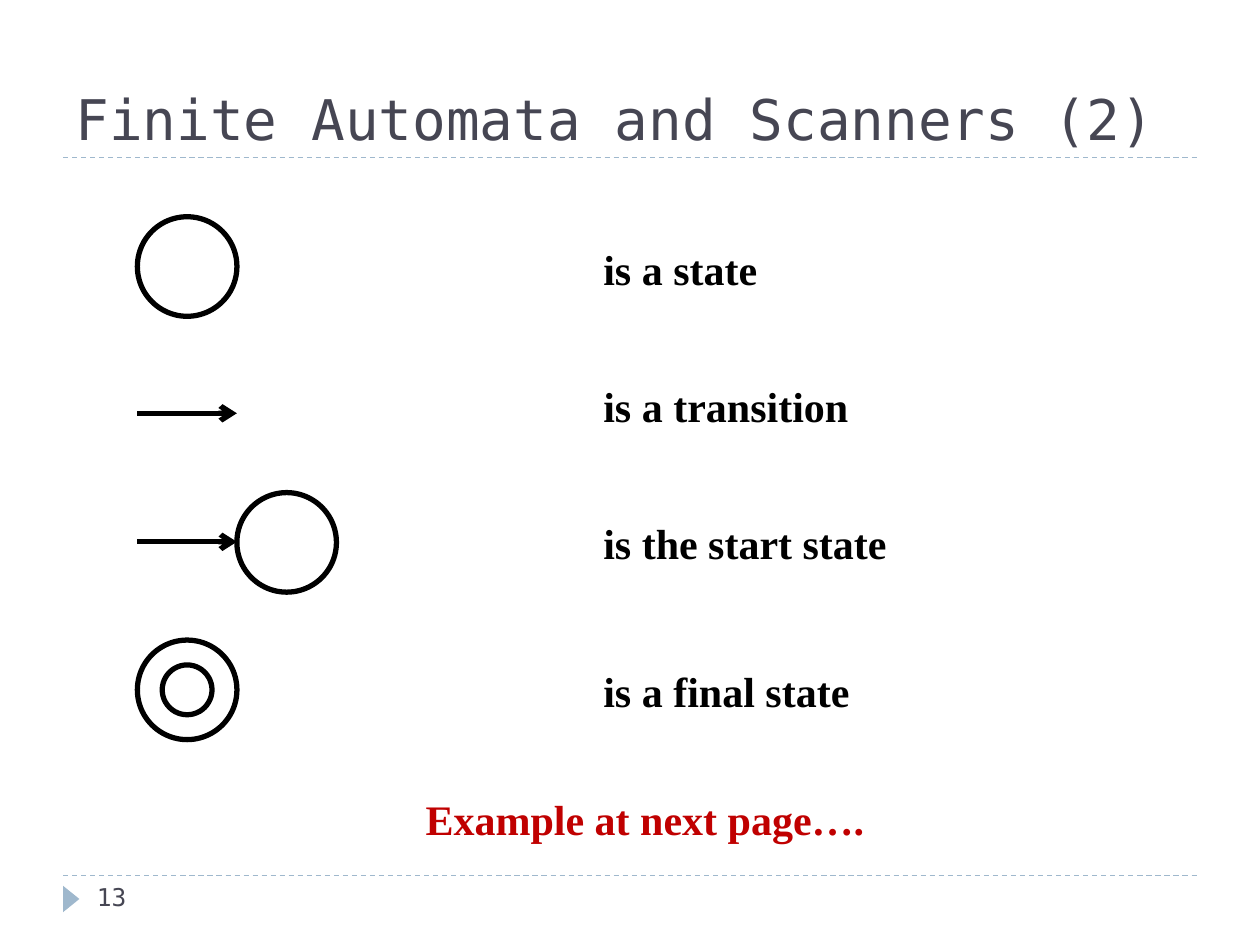
from dataclasses import dataclass

import pptx
import pptx.dml.color
import pptx.enum.dml
import pptx.enum.shapes
import pptx.enum.text
import pptx.oxml.ns
import pptx.oxml.xmlchemy
import pptx.shapes.connector
import pptx.slide
import pptx.util

COLOURS = {
    "ink": "000000",
    "paper": "FFFFFF",
    "heading": "464653",
    "accent": "9FB8CD",
    "notice": "C00000",
}
MONO = "DejaVu Sans Mono"
SERIF = "Times New Roman"
SHAPES = pptx.enum.shapes.MSO_SHAPE
ANCHORS = pptx.enum.text.MSO_ANCHOR
SYMBOL_LEFT = 1.09
SYMBOL_SIZE = 0.79


@dataclass(frozen=True)
class Label:
    text: str
    left: float
    top: float
    width: float = 5
    height: float = 0.5
    size: float = 24
    font: str = SERIF
    colour: str = "ink"
    bold: bool = True
    anchor: ANCHORS = ANCHORS.TOP


@dataclass(frozen=True)
class State:
    left: float
    top: float
    outline: SHAPES = SHAPES.OVAL


def rgb(colour: str) -> pptx.dml.color.RGBColor:
    return pptx.dml.color.RGBColor.from_string(COLOURS[colour])


def inches(*lengths: float) -> list[pptx.util.Length]:
    return [pptx.util.Inches(length) for length in lengths]


def draw_label(slide: pptx.slide.Slide, label: Label) -> None:
    box = slide.shapes.add_textbox(
        *inches(label.left, label.top, label.width, label.height)
    )
    frame = box.text_frame
    frame.word_wrap = True
    frame.vertical_anchor = label.anchor
    frame.text = label.text
    font = frame.paragraphs[0].runs[0].font
    font.name = label.font
    font.size = pptx.util.Pt(label.size)
    font.bold = label.bold
    font.color.rgb = rgb(label.colour)


def draw_state(slide: pptx.slide.Slide, state: State) -> None:
    circle = slide.shapes.add_shape(
        state.outline, *inches(state.left, state.top, SYMBOL_SIZE, SYMBOL_SIZE)
    )
    circle.shadow.inherit = False
    circle.fill.solid()
    circle.fill.fore_color.rgb = rgb("paper")
    circle.line.color.rgb = rgb("ink")
    circle.line.width = pptx.util.Pt(3)


def draw_line(
    slide: pptx.slide.Slide, left: float, right: float, y: float, colour: str, weight: float
) -> pptx.shapes.connector.Connector:
    line = slide.shapes.add_connector(
        pptx.enum.shapes.MSO_CONNECTOR.STRAIGHT, *inches(left, y, right, y)
    )
    line.line.color.rgb = rgb(colour)
    line.line.width = pptx.util.Pt(weight)
    line._element.spPr.append(pptx.oxml.xmlchemy.OxmlElement("a:effectLst"))
    return line


def draw_rule(slide: pptx.slide.Slide, y: float) -> None:
    rule = draw_line(slide, 0.5, 9.5, y, "accent", 0.75)
    rule.line.dash_style = pptx.enum.dml.MSO_LINE.DASH


def draw_transition(slide: pptx.slide.Slide, y: float) -> None:
    transition = draw_line(slide, SYMBOL_LEFT, SYMBOL_LEFT + SYMBOL_SIZE, y, "ink", 3)
    arrowhead = pptx.oxml.xmlchemy.OxmlElement("a:tailEnd")
    arrowhead.set("type", "arrow")
    transition._element.spPr.find(pptx.oxml.ns.qn("a:ln")).append(arrowhead)


def draw_page_marker(slide: pptx.slide.Slide) -> None:
    marker = slide.shapes.add_shape(
        SHAPES.ISOSCELES_TRIANGLE, *inches(0.46, 7.07, 0.21, 0.13)
    )
    marker.rotation = 90
    marker.shadow.inherit = False
    marker.fill.solid()
    marker.fill.fore_color.rgb = rgb("accent")
    marker.line.fill.background()


def main() -> None:
    presentation = pptx.Presentation()
    presentation.slide_width, presentation.slide_height = inches(10, 7.5)
    slide = presentation.slides.add_slide(presentation.slide_layouts[6])

    for y in (6.95, 1.25):
        draw_rule(slide, y)
    draw_page_marker(slide)

    states = (
        State(SYMBOL_LEFT, 1.72),
        State(SYMBOL_LEFT + SYMBOL_SIZE, 3.91),
        State(SYMBOL_LEFT, 5.08, SHAPES.DONUT),
    )
    for state in states:
        draw_state(slide, state)
    for y in (3.28, 4.3):
        draw_transition(slide, y)

    meanings = {
        "is a state": 1.88,
        "is a transition": 2.97,
        "is the start state": 4.06,
        "is a final state": 5.23,
    }
    labels = [
        Label("Finite Automata and Scanners (2)", 0.5, 0.17, 9, 1.08, 32, MONO,
              "heading", False, ANCHORS.BOTTOM),
        Label("13", 0.67, 6.95, 2.17, 0.4, 14, MONO, "heading", False),
        *(Label(meaning, 4.69, top) for meaning, top in meanings.items()),
        Label("Example at next page….", 3.28, 6.25, colour="notice"),
    ]
    for label in labels:
        draw_label(slide, label)

    presentation.save("out.pptx")


if __name__ == "__main__":
    main()
